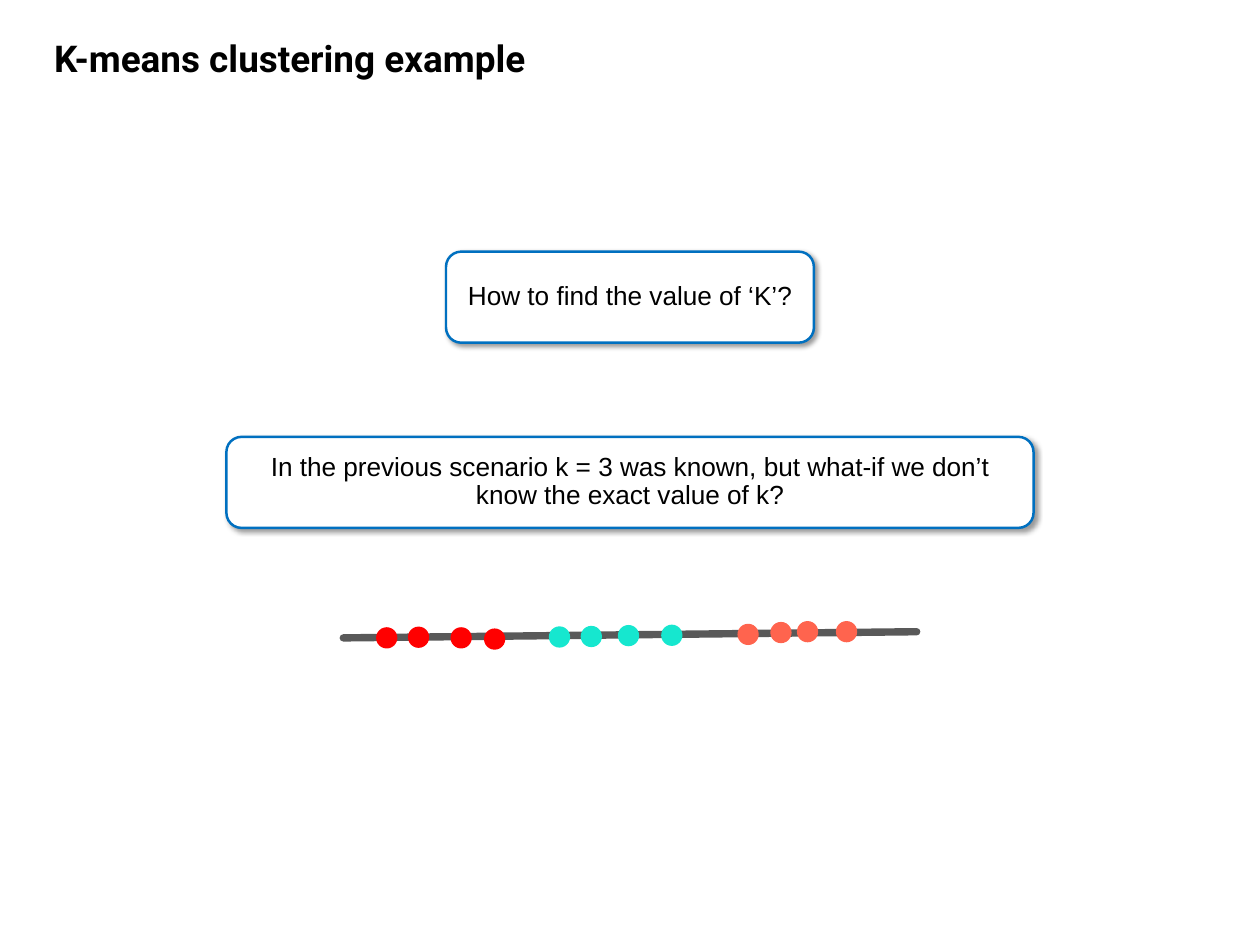
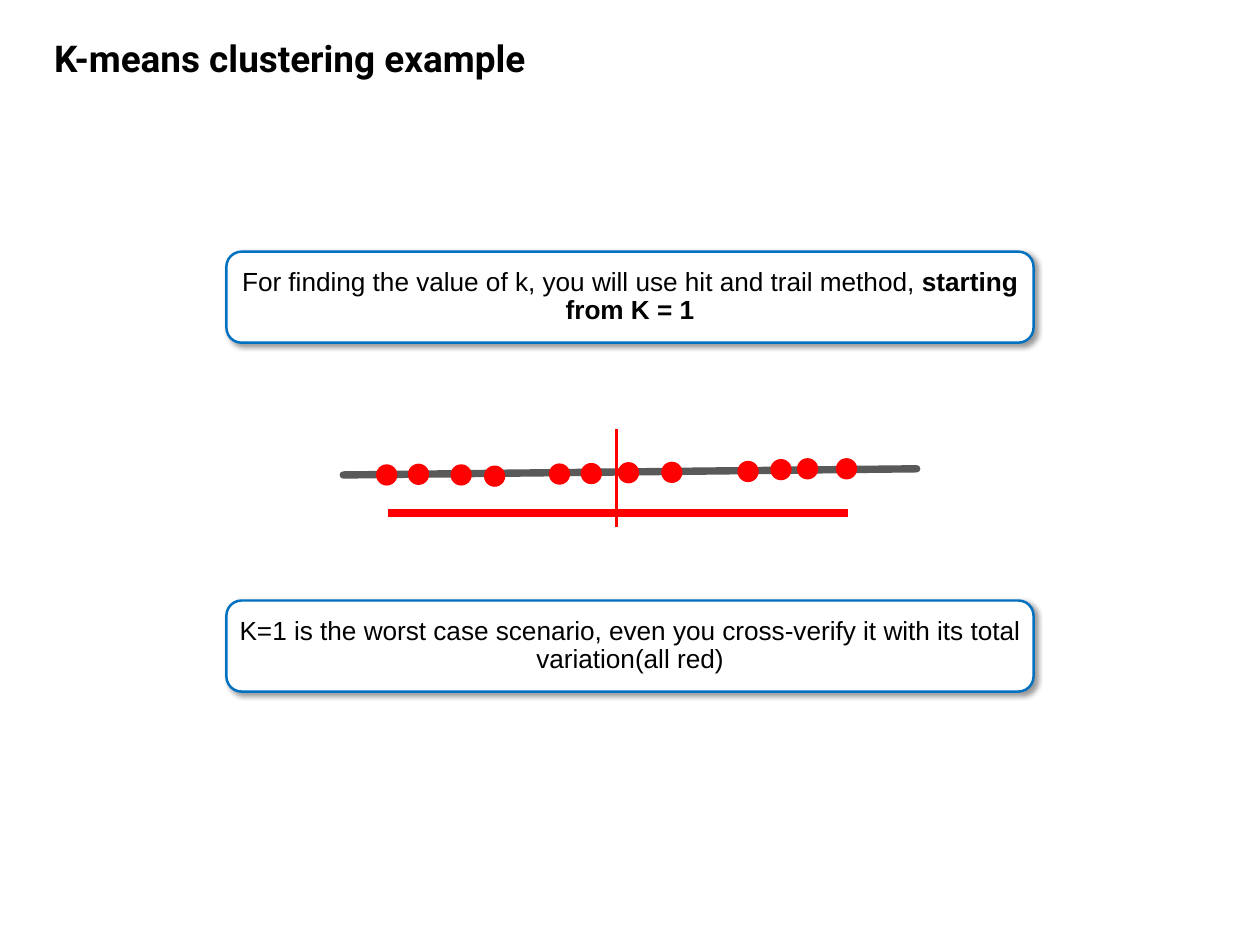
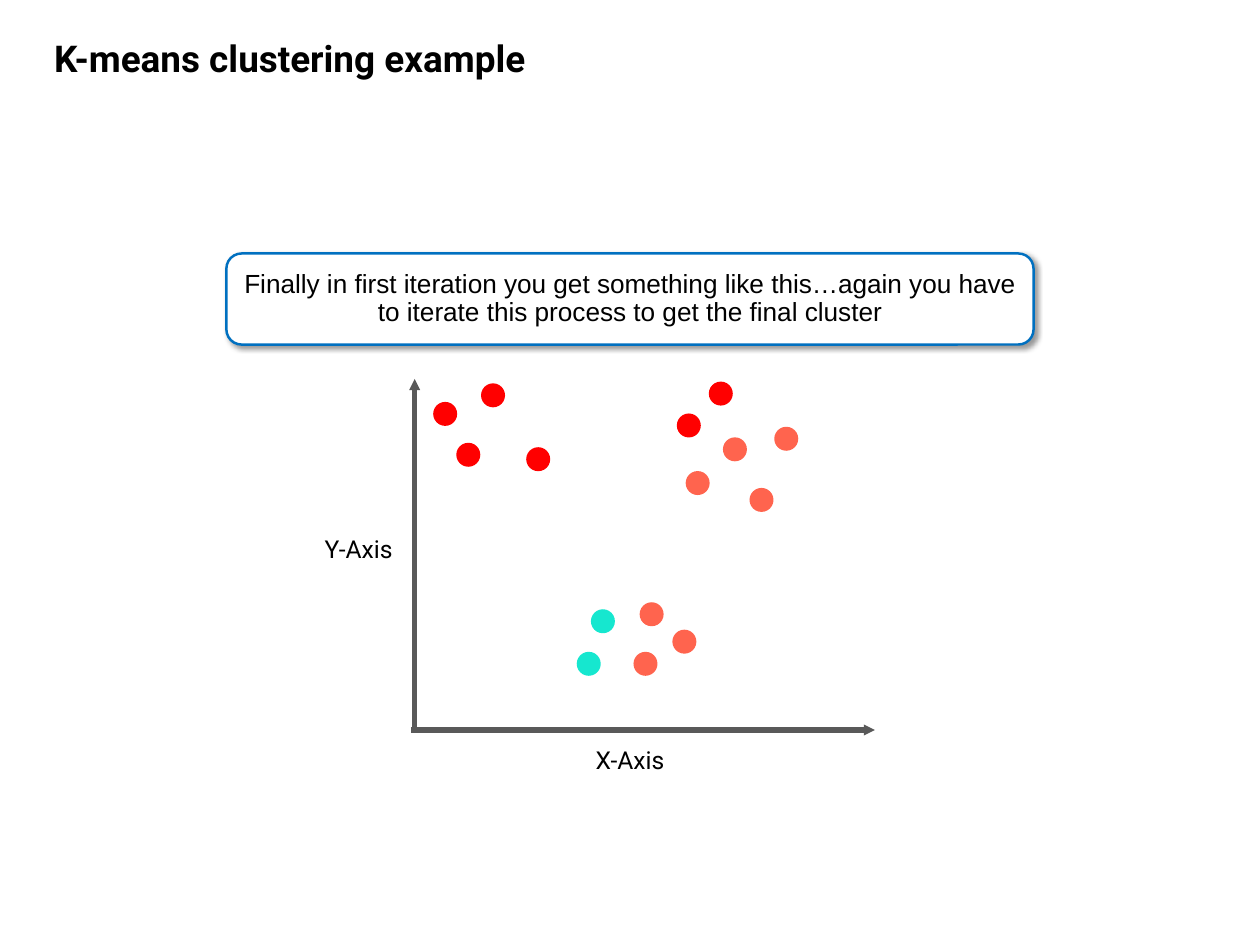
import pptx
import pptx.util
import pptx.dml.color
import pptx.enum.shapes
import pptx.enum.text
import pptx.oxml
import pptx.oxml.ns

Pt = pptx.util.Pt
RGBColor = pptx.dml.color.RGBColor
SHAPE = pptx.enum.shapes.MSO_SHAPE
STRAIGHT = pptx.enum.shapes.MSO_CONNECTOR.STRAIGHT
ALIGN = pptx.enum.text.PP_ALIGN
ANCHOR = pptx.enum.text.MSO_ANCHOR

# Shared look
SLIDE_W, SLIDE_H = 1024, 768
BLACK = RGBColor(0x00, 0x00, 0x00)
WHITE = RGBColor(0xFF, 0xFF, 0xFF)
BLUE = RGBColor(0x00, 0x70, 0xC0)
GREY = RGBColor(0x59, 0x59, 0x59)
RED = RGBColor(0xFF, 0x00, 0x00)
TEAL = RGBColor(0x16, 0xE7, 0xCF)
CORAL = RGBColor(0xFF, 0x64, 0x4E)
TITLE = "K-means clustering example"
WIDE = 656
LINE_X, LINE_W, LINE_RISE = 279, 466, 5

# Dot centres, measured from the left end and top of the number line
LINE_DOTS = [
    (35.3, 5), (61.2, 4.5), (95.8, 5), (123, 6),
    (175.7, 4.3), (201.6, 3.9), (231.8, 3.2), (267, 2.9),
    (329, 2.2), (355.7, 0.7), (377.3, 0), (409, 0),
]

# Dot centres by colour, measured from the top left of the plot
PLOT_DOTS = {
    RED: [(63.7, 13.3), (43.6, 61.6), (24.8, 28.4), (100.4, 65.2),
          (248.8, 11.9), (222.8, 37.8)],
    CORAL: [(260.3, 57.2), (230, 84.6), (302, 48.6), (281.9, 98.3),
            (192.6, 191.2), (187.6, 231.5), (219.2, 213.5)],
    TEAL: [(153, 196.9), (141.5, 231.5)],
}


def add_xml(parent, tag, attrs, inner=""):
    ns = pptx.oxml.ns.nsdecls("a")
    parent.append(pptx.oxml.parse_xml(f"<a:{tag} {ns} {attrs}>{inner}</a:{tag}>"))


def format_text(p, size, font, align=ALIGN.CENTER):
    p.alignment = align
    p.line_spacing = 0.9
    p.space_before = Pt(0)
    for r in p.runs:
        r.font.size = Pt(size)
        r.font.name = font
        r.font.color.rgb = BLACK


def add_line(s, x1, y1, x2, y2, color, width, cap="flat", arrow=False):
    sp = s.shapes.add_connector(STRAIGHT, Pt(x1), Pt(y1), Pt(x2), Pt(y2))
    sp.line.color.rgb = color
    sp.line.width = Pt(width)
    ln = sp.line._get_or_add_ln()
    ln.set("cap", cap)
    if arrow:
        add_xml(ln, "tailEnd", 'type="triangle" w="sm" len="sm"')
    add_xml(sp._element.spPr, "effectLst", "")


def add_dot(s, cx, cy, size, color):
    sp = s.shapes.add_shape(SHAPE.OVAL, Pt(cx - size / 2), Pt(cy - size / 2),
                            Pt(size), Pt(size))
    sp.shadow.inherit = False
    sp.fill.solid()
    sp.fill.fore_color.rgb = color
    sp.line.fill.background()


def add_callout(s, y, w, text, bold=""):
    """Rounded box, centred across the slide."""
    sp = s.shapes.add_shape(SHAPE.ROUNDED_RECTANGLE, Pt((SLIDE_W - w) / 2), Pt(y),
                            Pt(w), Pt(74))
    sp.fill.solid()
    sp.fill.fore_color.rgb = WHITE
    sp.line.color.rgb = BLUE
    sp.line.width = Pt(2)
    # Soft shadow to the lower right
    sp.shadow.inherit = False
    effects = sp._element.spPr.find(pptx.oxml.ns.qn("a:effectLst"))
    add_xml(effects, "outerShdw",
            f'blurRad="{Pt(4)}" dist="{Pt(3)}" dir="2700000" algn="tl" rotWithShape="0"',
            '<a:srgbClr val="000000"><a:alpha val="40000"/></a:srgbClr>')
    tf = sp.text_frame
    tf.word_wrap = True
    tf.vertical_anchor = ANCHOR.MIDDLE
    tf.margin_left = tf.margin_right = Pt(6)
    p = tf.paragraphs[0]
    p.text = text
    if bold:
        r = p.add_run()
        r.text = bold
        r.font.bold = True
    format_text(p, 21.3, "Arial")


def add_label(s, cx, y, text):
    w = 84
    sp = s.shapes.add_textbox(Pt(cx - w / 2), Pt(y), Pt(w), Pt(29))
    tf = sp.text_frame
    tf.word_wrap = True
    tf.text = text
    format_text(tf.paragraphs[0], 20, "Roboto")


def add_number_line(s, x, y, colors):
    """Number line with three groups of four dots, one colour a group."""
    add_line(s, x, y + LINE_RISE, x + LINE_W, y, GREY, 6, cap="rnd")
    for i, (dx, dy) in enumerate(LINE_DOTS):
        add_dot(s, x + dx, y + dy, 17.3, colors[i // 4])


def add_plot(s, x, y, w, h):
    """Scatter of dots with arrowed axes and axis labels."""
    add_label(s, x + 175, y + h + 11, "X-Axis")
    add_label(s, x - 45.5, y + 125.4, "Y-Axis")
    add_line(s, x, y + h, x, y, GREY, 4.5, arrow=True)
    add_line(s, x - 3, y + h, x + w, y + h, GREY, 4.5, arrow=True)
    for color, centres in PLOT_DOTS.items():
        for dx, dy in centres:
            add_dot(s, x + dx, y + dy, 19.5, color)


def add_slide(prs):
    s = prs.slides.add_slide(prs.slide_layouts[5])
    sp = s.shapes.title
    sp.left, sp.top, sp.width, sp.height = Pt(36.7), Pt(29.5), Pt(528.5), Pt(40.3)
    tf = sp.text_frame
    tf.text = TITLE
    tf.word_wrap = True
    tf.auto_size = pptx.enum.text.MSO_AUTO_SIZE.NONE
    tf.vertical_anchor = ANCHOR.TOP
    p = tf.paragraphs[0]
    format_text(p, 30, "Roboto", ALIGN.LEFT)
    p.runs[0].font.bold = True
    return s


def build_question(prs):
    s = add_slide(prs)
    add_callout(s, 204.5, 299, "How to find the value of ‘K’?")
    add_callout(s, 355, WIDE, "In the previous scenario k = 3 was known, but what-if "
                "we don’t know the exact value of k?")
    add_number_line(s, LINE_X, 513.4, [RED, TEAL, CORAL])


def build_single_cluster(prs):
    s = add_slide(prs)
    add_callout(s, 204.5, WIDE, "For finding the value of k, you will use hit and "
                "trail method, ", "starting from K = 1")
    add_callout(s, 488, WIDE, "K=1 is the worst case scenario, even you cross-verify "
                "it with its total variation(all red)")
    add_number_line(s, LINE_X, 381, [RED] * 3)
    # Spread of the cluster and its mean
    add_line(s, 315.4, 417, 689, 417, RED, 6)
    add_line(s, 501, 348.5, 501, 428.4, RED, 2.25)


def build_first_iteration(prs):
    s = add_slide(prs)
    add_callout(s, 206, WIDE, "Finally in first iteration you get something like "
                "this…again you have to iterate this process to get the final cluster")
    add_plot(s, 337, 308, 374, 285.3)


def main():
    prs = pptx.Presentation()
    prs.slide_width, prs.slide_height = Pt(SLIDE_W), Pt(SLIDE_H)
    build_question(prs)
    build_single_cluster(prs)
    build_first_iteration(prs)
    prs.save("out.pptx")


if __name__ == "__main__":
    main()
